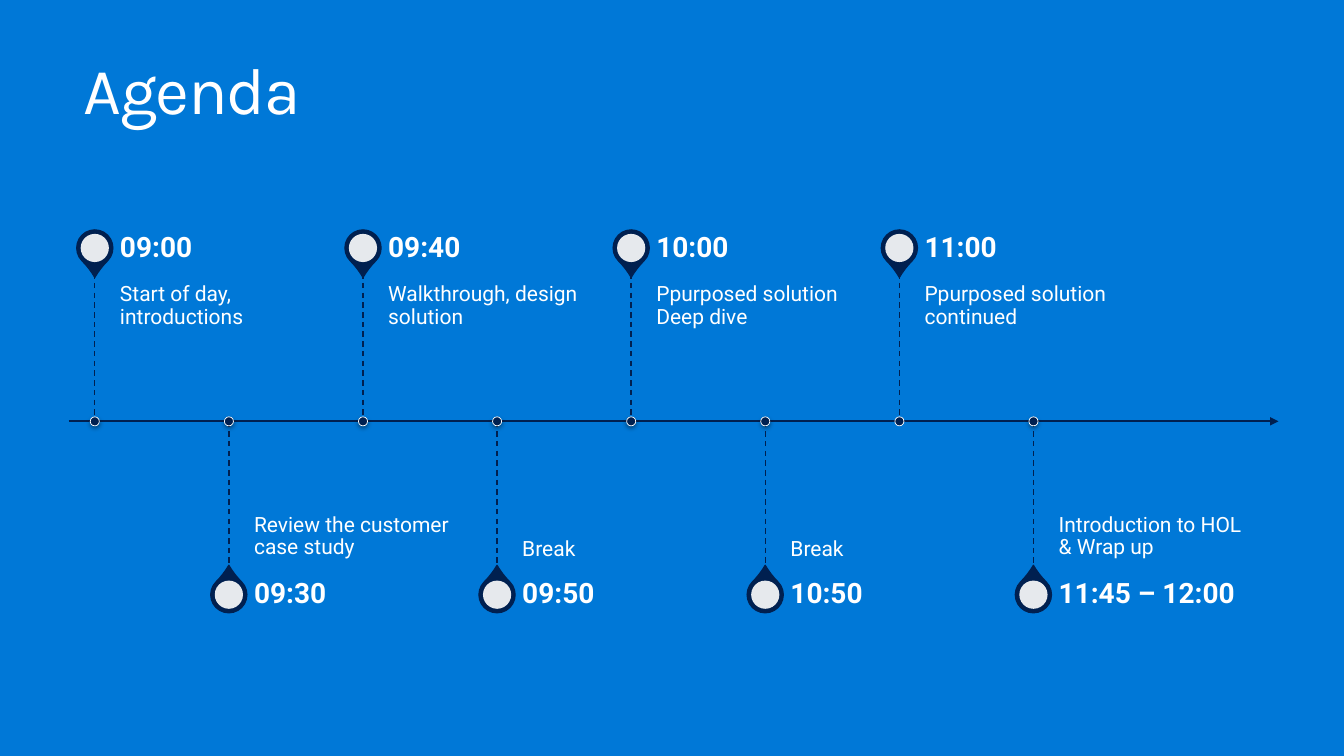
from lxml.etree import SubElement
from pptx import Presentation
from pptx.dml.color import RGBColor
from pptx.enum.dml import MSO_LINE
from pptx.enum.shapes import MSO_CONNECTOR, MSO_SHAPE
from pptx.enum.text import MSO_ANCHOR
from pptx.oxml.ns import qn
from pptx.util import Inches, Pt

BLUE, NAVY, WHITE = "0078D7", "002050", "FFFFFF"
AXIS_LEFT, AXIS_RIGHT, AXIS_Y = 0.68, 12.68, 4.18
FIRST_STOP, COLUMN = 0.94, 1.33
STEM, PIN_OFFSET, TEXT_GAP, TEXT_WIDTH = 1.47, 1.72, 0.25, 2.17
TIME_HEIGHT = 0.51

TITLE_FONT = {"name": "Karla", "size": Pt(47)}
TIME_FONT = {"name": "Roboto", "size": Pt(20), "bold": True}
DETAIL_FONT = {"name": "Roboto", "size": Pt(15)}

STOPS = [
    ("09:00", "Start of day, introductions", True),
    ("09:30", "Review the customer case study", True),
    ("09:40", "Walkthrough, design solution", True),
    ("09:50", "Break", True),
    ("10:00", "Ppurposed solution Deep dive", True),
    ("10:50", "Break", True),
    ("11:00", "Ppurposed solution continued", False),
    ("11:45 – 12:00", "Introduction to HOL\v& Wrap up", True),
]


def color(value):
    """Turn a hex string into a colour."""
    return RGBColor.from_string(value)


def add_text(slide, box, text, font, anchor, margins):
    """Add a white text box and return its first run."""
    shape = slide.shapes.add_textbox(*map(Inches, box))
    frame = shape.text_frame
    sides = ("margin_left", "margin_top", "margin_right", "margin_bottom")
    settings = dict(zip(sides, map(Inches, margins)))
    settings.update(word_wrap=True, vertical_anchor=anchor)
    for name, value in settings.items():
        setattr(frame, name, value)
    paragraph = frame.paragraphs[0]
    paragraph.text = text
    paragraph.line_spacing = 0.9
    for run in paragraph.runs:
        for name, value in font.items():
            setattr(run.font, name, value)
        run.font.color.rgb = color(WHITE)
    return paragraph.runs[0]


def add_line(slide, start, end, width, dash=None, arrow=False):
    """Add a navy line, dashed or with an arrowhead on request."""
    points = map(Inches, (*start, *end))
    connector = slide.shapes.add_connector(MSO_CONNECTOR.STRAIGHT, *points)
    connector.line.color.rgb = color(NAVY)
    connector.line.width = Pt(width)
    if dash:
        connector.line.dash_style = dash
    if arrow:
        SubElement(connector.line._get_or_add_ln(), qn("a:tailEnd"), type="triangle")
    SubElement(connector._element.spPr, qn("a:effectLst"))


def add_mark(slide, kind, center, size, fill, outline=None, width=0):
    """Add a filled shape around a centre point."""
    left, top = (value - size / 2 for value in center)
    shape = slide.shapes.add_shape(kind, *map(Inches, (left, top, size, size)))
    shape.shadow.inherit = False
    shape.fill.solid()
    shape.fill.fore_color.rgb = color(fill)
    if outline:
        shape.line.color.rgb = color(outline)
        shape.line.width = Pt(width)
    else:
        shape.line.fill.background()
    return shape


def add_pin(slide, center, rotation):
    """Add a map pin with a pale disc inside."""
    drop = add_mark(slide, MSO_SHAPE.TEAR, center, 0.36, NAVY, NAVY, 0.85)
    drop.adjustments[0] = 1.15
    drop.rotation = rotation
    disc = add_mark(slide, MSO_SHAPE.OVAL, center, 0.28, WHITE)
    fill = disc._element.spPr.find(qn("a:solidFill"))
    SubElement(fill[0], qn("a:alpha"), val="90000")


def add_dot(slide, center, shadow):
    """Add a dot on the axis, with a soft shadow on request."""
    dot = add_mark(slide, MSO_SHAPE.OVAL, center, 0.09, NAVY, WHITE, 0.5)
    if shadow:
        effects = dot._element.spPr.find(qn("a:effectLst"))
        values = {"blurRad": Pt(3.1), "dist": Pt(1.6), "dir": 90 * 60000, "rotWithShape": 0}
        outer = SubElement(effects, qn("a:outerShdw"),
                           {name: str(int(value)) for name, value in values.items()})
        black = SubElement(outer, qn("a:srgbClr"), val="000000")
        SubElement(black, qn("a:alpha"), val="38000")


def add_stop(slide, index, time, detail, shadow):
    """Add one agenda stop, above the axis for even columns and below for odd."""
    above = index % 2 == 0
    side = -1 if above else 1
    x = FIRST_STOP + index * COLUMN
    pin_y = AXIS_Y + side * PIN_OFFSET
    text_left = x + TEXT_GAP
    detail_top = AXIS_Y - STEM if above else AXIS_Y
    anchor = MSO_ANCHOR.TOP if above else MSO_ANCHOR.BOTTOM
    margins = (0, 0.1, 0.1, 0.16) if above else (0, 0.16, 0, 0.1)
    add_pin(slide, (x, pin_y), 135 if above else 315)
    add_text(slide, (text_left, detail_top, TEXT_WIDTH, STEM),
             detail, DETAIL_FONT, anchor, margins)
    add_text(slide, (text_left, pin_y - TIME_HEIGHT / 2, TEXT_WIDTH, TIME_HEIGHT),
             time, TIME_FONT, MSO_ANCHOR.MIDDLE, (0, 0, 0.14, 0))
    stem_ends = sorted([AXIS_Y, AXIS_Y + side * STEM])
    add_line(slide, (x, stem_ends[0]), (x, stem_ends[1]), 1, MSO_LINE.DASH)
    add_dot(slide, (x, AXIS_Y), shadow)


def main():
    """Build the agenda slide and save it."""
    presentation = Presentation()
    presentation.slide_width = Inches(13.33)
    presentation.slide_height = Inches(7.5)
    slide = presentation.slides.add_slide(presentation.slide_layouts[6])
    slide.background.fill.solid()
    slide.background.fill.fore_color.rgb = color(BLUE)
    title = add_text(slide, (0.67, 0.3, 12, 1.25), "Agenda", TITLE_FONT,
                     MSO_ANCHOR.MIDDLE, (0.16, 0.1, 0.16, 0.1))
    title._r.get_or_add_rPr().set("spc", "-100")
    add_line(slide, (AXIS_LEFT, AXIS_Y), (AXIS_RIGHT, AXIS_Y), 1.5, arrow=True)
    for index, stop in enumerate(STOPS):
        add_stop(slide, index, *stop)
    presentation.save("out.pptx")


if __name__ == "__main__":
    main()
